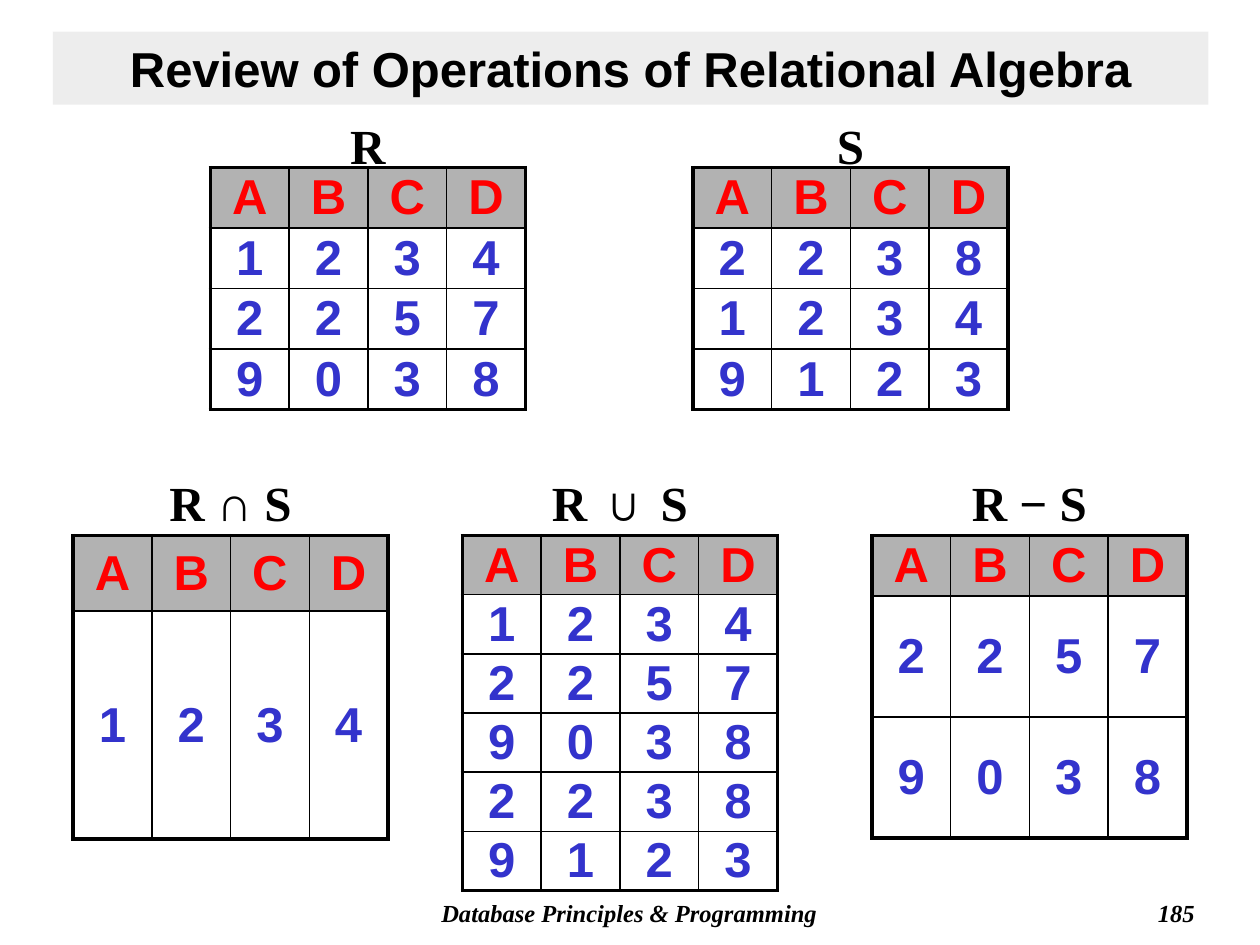
from lxml.etree import SubElement
from pptx import Presentation
from pptx.dml.color import RGBColor
from pptx.enum.text import MSO_ANCHOR, PP_ALIGN
from pptx.oxml.ns import qn
from pptx.util import Inches, Pt

SERIF = "Times New Roman"
HEADER = "ABCD"
COL = 0.625
THICK, THIN = 2.25, 1


def color(hexa):
    return RGBColor.from_string(hexa)


def write(frame, text, size, font, ink, align=PP_ALIGN.CENTER, italic=None):
    para = frame.paragraphs[0]
    para.alignment = align
    run = para.add_run()
    run.text = text
    run.font.size = Pt(size)
    run.font.name = font
    run.font.bold = True
    run.font.italic = italic
    run.font.color.rgb = color(ink)
    return para


deck = Presentation()
deck.slide_width, deck.slide_height = Inches(10), Inches(7.5)
slide = deck.slides.add_slide(deck.slide_layouts[5])
shapes = slide.shapes

title = shapes.title
title.left, title.top = Inches(0.42), Inches(0.25)
title.width, title.height = Inches(9.17), Inches(0.58)
title.fill.solid()
title.fill.fore_color.rgb = color("DDDDDD")
tint = title.fill._xPr.find(qn("a:solidFill"))[0]
SubElement(tint, qn("a:alpha"), val="50000")
title.text_frame.vertical_anchor = MSO_ANCHOR.MIDDLE
write(title.text_frame, "Review of Operations of Relational Algebra", 28, "Arial", "000000")

footers = [
    ("Database Principles & Programming", 2.83, 4.33, PP_ALIGN.CENTER),
    ("185", 7.5, 2.08, PP_ALIGN.RIGHT),
]
for text, left, width, align in footers:
    box = shapes.add_textbox(Inches(left), Inches(7.08), Inches(width), Inches(0.33))
    box.text_frame.word_wrap = True
    write(box.text_frame, text, 14, SERIF, "000000", align, True)

relations = [
    ("R", 1.67, 1.33, 0.92, [0.48] * 4, ["1234", "2257", "9038"]),
    ("S", 5.5, 1.33, 0.92, [0.48] * 4, ["2238", "1234", "9123"]),
    ("R ∩ S", 0.58, 4.25, 3.75, [0.6, 1.81], ["1234"]),
    ("R ∪ S", 3.67, 4.25, 3.75, [0.47] * 6, ["1234", "2257", "9038", "2238", "9123"]),
    ("R − S", 6.92, 4.25, 3.75, [0.48, 0.96, 0.96], ["2257", "9038"]),
]
for name, left, top, label_top, heights, tuples in relations:
    rows = [HEADER] + tuples
    last = len(rows) - 1
    table = shapes.add_table(
        len(rows), 4, Inches(left), Inches(top), Inches(4 * COL), Inches(sum(heights))
    ).table
    table.first_row = table.horz_banding = False
    for col in table.columns:
        col.width = Inches(COL)
    for i, values in enumerate(rows):
        table.rows[i].height = Inches(heights[i])
        for j, value in enumerate(values):
            cell = table.cell(i, j)
            cell.margin_left = cell.margin_right = 0
            cell.margin_top = cell.margin_bottom = 0
            cell.vertical_anchor = MSO_ANCHOR.MIDDLE
            props = cell._tc.get_or_add_tcPr()
            edges = [("L", j == 0), ("R", j == 3), ("T", i == 0), ("B", i == last)]
            for side, outer in edges:
                line = SubElement(
                    props, qn("a:ln" + side), w=str(Pt(THICK if outer else THIN))
                )
                fill = SubElement(line, qn("a:solidFill"))
                SubElement(fill, qn("a:srgbClr"), val="000000")
            if i == 0:
                cell.fill.solid()
                cell.fill.fore_color.rgb = color("B2B2B2")
            else:
                cell.fill.background()
            write(cell.text_frame, value, 28, "Arial", "3333CC" if i else "FF0000")

    label = shapes.add_textbox(
        Inches(left), Inches(label_top), Inches(4 * COL), Inches(0.47)
    )
    frame = label.text_frame
    frame.word_wrap = True
    frame.margin_left = frame.margin_right = 0
    frame.margin_top = frame.margin_bottom = 0
    write(frame, name, 28, SERIF, "000000").space_before = Pt(3)

deck.save("out.pptx")
